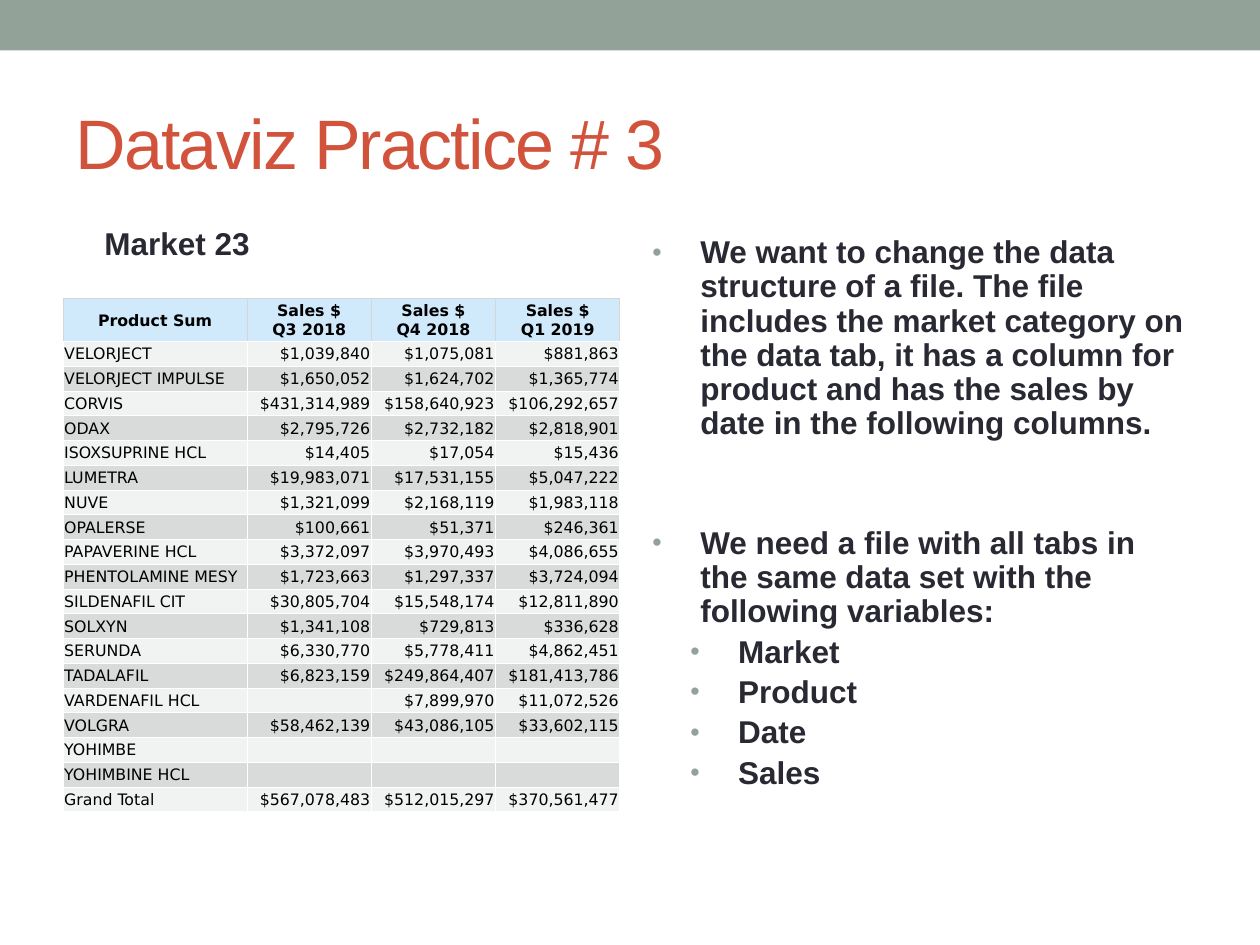
from lxml import etree
from pptx import Presentation
from pptx.dml.color import RGBColor
from pptx.enum.shapes import MSO_SHAPE
from pptx.enum.text import MSO_ANCHOR, PP_ALIGN
from pptx.oxml.ns import qn
from pptx.util import Inches, Pt

RECTANGLE = MSO_SHAPE.RECTANGLE
TOP, MIDDLE = MSO_ANCHOR.TOP, MSO_ANCHOR.MIDDLE
LEFT, CENTER, RIGHT = PP_ALIGN.LEFT, PP_ALIGN.CENTER, PP_ALIGN.RIGHT

TITLE = "Dataviz Practice # 3"
MARKET = "Market 23"
HEADER = ["Product Sum", "Sales $\vQ3 2018", "Sales $\vQ4 2018", "Sales $\vQ1 2019"]
SALES = [
    ("VELORJECT", "$1,039,840", "$1,075,081", "$881,863"),
    ("VELORJECT IMPULSE", "$1,650,052", "$1,624,702", "$1,365,774"),
    ("CORVIS", "$431,314,989", "$158,640,923", "$106,292,657"),
    ("ODAX", "$2,795,726", "$2,732,182", "$2,818,901"),
    ("ISOXSUPRINE HCL", "$14,405", "$17,054", "$15,436"),
    ("LUMETRA", "$19,983,071", "$17,531,155", "$5,047,222"),
    ("NUVE", "$1,321,099", "$2,168,119", "$1,983,118"),
    ("OPALERSE", "$100,661", "$51,371", "$246,361"),
    ("PAPAVERINE HCL", "$3,372,097", "$3,970,493", "$4,086,655"),
    ("PHENTOLAMINE MESY", "$1,723,663", "$1,297,337", "$3,724,094"),
    ("SILDENAFIL CIT", "$30,805,704", "$15,548,174", "$12,811,890"),
    ("SOLXYN", "$1,341,108", "$729,813", "$336,628"),
    ("SERUNDA", "$6,330,770", "$5,778,411", "$4,862,451"),
    ("TADALAFIL", "$6,823,159", "$249,864,407", "$181,413,786"),
    ("VARDENAFIL HCL", "", "$7,899,970", "$11,072,526"),
    ("VOLGRA", "$58,462,139", "$43,086,105", "$33,602,115"),
    ("YOHIMBE", "", "", ""),
    ("YOHIMBINE HCL", "", "", ""),
    ("Grand Total", "$567,078,483", "$512,015,297", "$370,561,477"),
]
# (level, text)
TASKS = [
    (0, "We want to change the data structure of a file. The file includes the market "
        "category on the data tab, it has a column for product and has the sales by "
        "date in the following columns."),
    (0, "We need a file with all tabs in the same data set with the following variables:"),
    (1, "Market"),
    (1, "Product"),
    (1, "Date"),
    (1, "Sales"),
]

THEME = {
    "band": "93A299", "header": "D0E9FB", "rows": ("F1F3F2", "D9DBDA"),
    "grid": "FFFFFF", "header_grid": "D6D6D6",
    "title": {"name": "Arial", "size": Pt(40), "color": "D2533C"},
    "body": {"name": "Arial", "size": Pt(18), "color": "292934", "bold": True},
    "head_cell": {"name": "DejaVu Sans", "size": Pt(9), "color": "000000", "bold": True},
    "cell": {"name": "DejaVu Sans", "size": Pt(9), "color": "000000", "bold": False},
}

WIDTH, HEIGHT = 10, 7.5
MARGIN = 0.5
COLUMN = 4.42
PRODUCT_COLUMN = 1.46
TABLE_TOP, TABLE_HEIGHT, HEADER_HEIGHT = 2.37, 4.08, 0.34
BULLET_INDENT, LEVEL_STEP = 0.38, 0.3
SECTION_GAP, ITEM_GAP = Pt(49.5), Pt(3.6)
CELL_FORMAT = {"margin_left": Inches(0.01), "margin_right": Inches(0.01),
               "margin_top": Inches(0.01), "margin_bottom": 0,
               "vertical_anchor": MIDDLE}


def set_all(target, values):
    for key, value in values.items():
        setattr(target, key, value)


def style_run(run, style):
    for key, value in style.items():
        if key == "color":
            run.font.color.rgb = RGBColor.from_string(value)
        else:
            setattr(run.font, key, value)


def paint(fill, color):
    fill.solid()
    fill.fore_color.rgb = RGBColor.from_string(color)


def add_xml(parent, tag, **attributes):
    return etree.SubElement(parent, qn(tag), attributes)


def add_text_frame(slide, left, top, width, height, anchor=TOP):
    box = slide.shapes.add_textbox(*map(Inches, (left, top, width, height)))
    set_all(box.text_frame, {"word_wrap": True, "vertical_anchor": anchor})
    return box.text_frame


def add_line(paragraph, text, style):
    run = paragraph.add_run()
    run.text = text
    style_run(run, style)
    return run


def add_bullet(paragraph, level):
    properties = paragraph._p.get_or_add_pPr()
    properties.set("marL", str(Inches(BULLET_INDENT + level * LEVEL_STEP)))
    properties.set("indent", str(-Inches(BULLET_INDENT)))
    add_xml(add_xml(properties, "a:buClr"), "a:srgbClr", val=THEME["band"])
    add_xml(properties, "a:buSzPct", val="85000")
    add_xml(properties, "a:buFont", typeface="Arial")
    add_xml(properties, "a:buChar", char="•")


def add_borders(cell, sides, bottom):
    properties = cell._tc.get_or_add_tcPr()
    for edge, color in zip("LRTB", (sides, sides, sides, bottom)):
        line = add_xml(properties, f"a:ln{edge}", w=str(Pt(0.5)))
        add_xml(add_xml(line, "a:solidFill"), "a:srgbClr", val=color)


def fill_cell(cell, text, style, align, fill, sides):
    cell.text = text
    set_all(cell, CELL_FORMAT)
    paragraph = cell.text_frame.paragraphs[0]
    paragraph.alignment = align
    for run in paragraph.runs:
        style_run(run, style)
    size = str(int(style["size"].pt * 100))
    for line_break in paragraph._p.findall(qn("a:br")):
        add_xml(line_break, "a:rPr", sz=size)
    add_xml(paragraph._p, "a:endParaRPr", sz=size)
    add_borders(cell, sides, THEME["grid"])
    paint(cell.fill, fill)


def add_sales_table(slide):
    rows = [HEADER, *SALES]
    table = slide.shapes.add_table(
        len(rows), len(HEADER),
        *map(Inches, (MARGIN, TABLE_TOP, COLUMN, TABLE_HEIGHT))).table
    sales_column = (COLUMN - PRODUCT_COLUMN) / (len(HEADER) - 1)
    row_height = (TABLE_HEIGHT - HEADER_HEIGHT) / len(SALES)
    for c, column in enumerate(table.columns):
        column.width = Inches(sales_column if c else PRODUCT_COLUMN)
    for r, values in enumerate(rows):
        table.rows[r].height = Inches(row_height if r else HEADER_HEIGHT)
        for c, text in enumerate(values):
            if r == 0:
                look = THEME["head_cell"], CENTER, THEME["header"], THEME["header_grid"]
            else:
                look = (THEME["cell"], RIGHT if c else LEFT,
                        THEME["rows"][(r - 1) % 2], THEME["grid"])
            fill_cell(table.cell(r, c), text, *look)


def add_tasks(slide):
    frame = add_text_frame(slide, WIDTH - MARGIN - COLUMN, 1.83, COLUMN, 5.16)
    for i, (level, text) in enumerate(TASKS):
        paragraph = frame.add_paragraph() if i else frame.paragraphs[0]
        set_all(paragraph, {"level": level, "line_spacing": 0.9})
        if i:
            paragraph.space_before = ITEM_GAP if level else SECTION_GAP
        add_bullet(paragraph, level)
        add_line(paragraph, text, THEME["body"])


def main():
    deck = Presentation()
    set_all(deck, {"slide_width": Inches(WIDTH), "slide_height": Inches(HEIGHT)})
    slide = deck.slides.add_slide(deck.slide_layouts[6])

    band = slide.shapes.add_shape(RECTANGLE, 0, 0, Inches(WIDTH), Inches(0.4))
    band.shadow.inherit = False
    paint(band.fill, THEME["band"])
    band.line.fill.background()

    title = add_text_frame(slide, MARGIN, 0.58, WIDTH - 2 * MARGIN, 1.08, MIDDLE)
    run = add_line(title.paragraphs[0], TITLE, THEME["title"])
    run._r.get_or_add_rPr().set("spc", "-100")

    add_tasks(slide)
    add_sales_table(slide)

    market = add_text_frame(slide, 0.73, 1.76, 3.65, 0.63).paragraphs[0]
    market.line_spacing = 0.9
    add_line(market, MARKET, THEME["body"])

    deck.save("out.pptx")


if __name__ == "__main__":
    main()
